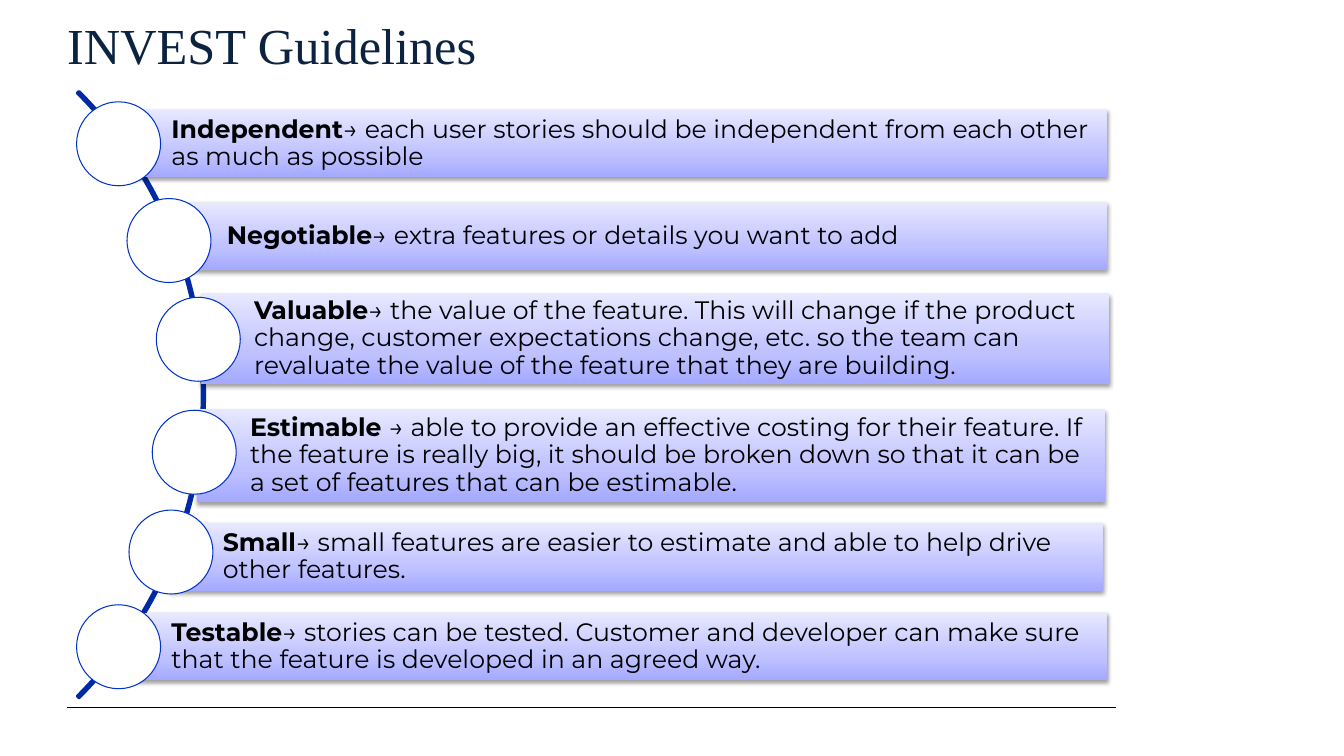
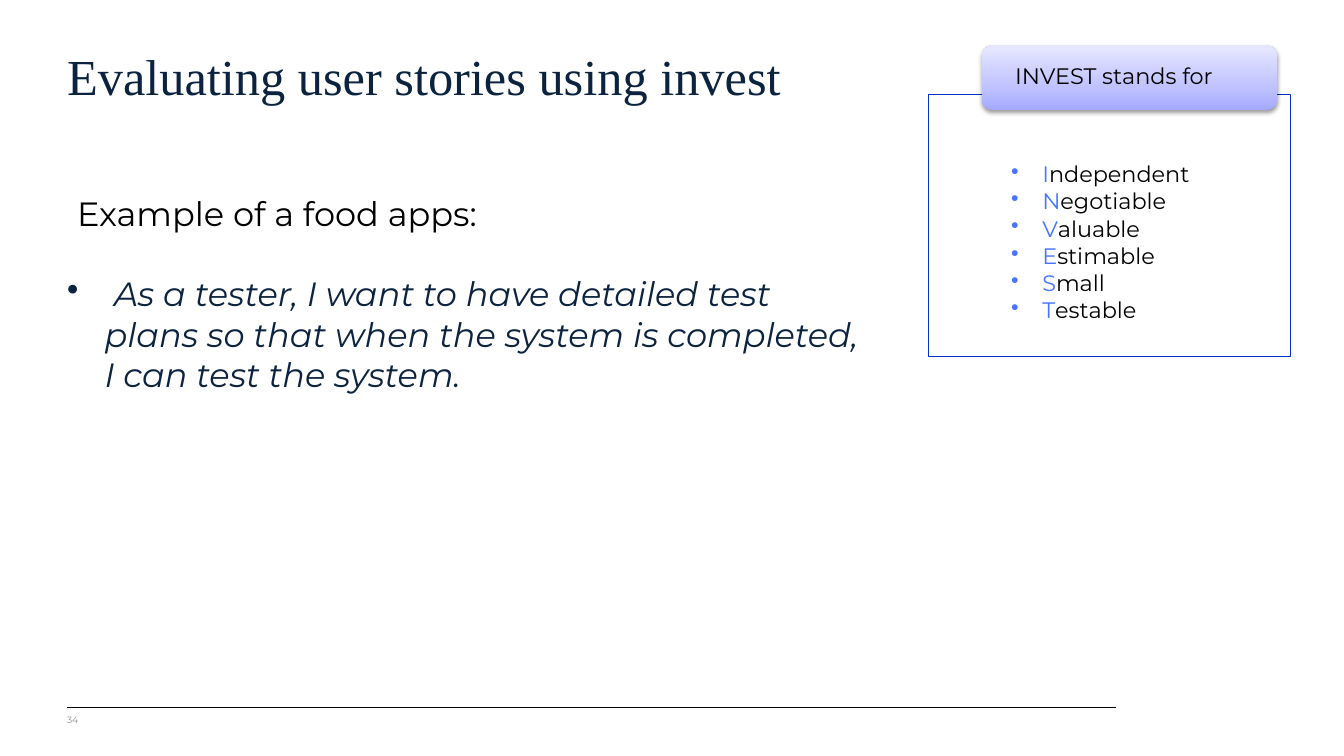
"""Build two slides on the INVEST guidelines; boxes are given in percent of the slide."""
from pptx import Presentation
from pptx import util as u
from pptx.dml.color import RGBColor
from pptx.enum import shapes, text
from pptx.oxml import parse_xml
from pptx.oxml.ns import nsdecls, qn

WIDE, TALL = 13.33, 7.5
HUES = {"navy": "0C2340", "ink": "000000", "gray": "8C8C8C", "white": "FFFFFF",
        "arc": "0029A3", "ring": "0033CC", "edge": "0032C8", "cap": "4775FF"}
FADE = {0: "A5A9FF", 35: "BFC2FF", 100: "E7E8FF"}
SANS = "Montserrat"
KINDS = shapes.MSO_SHAPE
MID = text.MSO_ANCHOR.MIDDLE
TITLE = {"name": "Times New Roman", "size": u.Pt(36), "color": "navy"}
LABEL = {"name": SANS, "size": u.Pt(18), "color": "ink"}
ITEM = {**LABEL, "size": u.Pt(16)}
LEAD = {**LABEL, "size": u.Pt(24)}
STORY = {**LEAD, "color": "navy", "italic": True}
PAGE = {"name": SANS, "size": u.Pt(6.5), "color": "gray"}
DISC = (6.25, 11.11)
ROWS = [
    ("Independent", "→ each user stories should be independent from each other as much as possible",
     (8.78, 14.53, 73.58, 8.93), (5.7, 13.47)),
    ("Negotiable", "→ extra features or details you want to add",
     (12.9, 26.8, 69.45, 8.93), (9.45, 26.27)),
    ("Valuable", "→ the value of the feature. This will change if the product change, "
     "customer expectations change, etc. so the team can revaluate the value of the "
     "feature that they are building.",
     (14.93, 38.8, 67.58, 12), (11.63, 39.33)),
    ("Estimable ", "→ able to provide an effective costing for their feature. If the "
     "feature is really big, it should be broken down so that it can be a set of "
     "features that can be estimable.",
     (14.63, 54.13, 67.58, 12.27), (11.33, 54.27)),
    ("Small", "→ small features are easier to estimate and able to help drive other features.",
     (12.6, 69.2, 69.45, 8.93), (9.6, 67.47)),
    ("Testable", "→ stories can be tested. Customer and developer can make sure that the "
     "feature is developed in an agreed way.",
     (8.78, 81.07, 73.58, 8.93), (5.7, 80)),
]


def area(*box):
    """Turn percent shares, x and y in turn, into lengths."""
    return [u.Inches(part * side / 100) for part, side in zip(box, (WIDE, TALL) * 2)]


def hue(name):
    """Look up a colour."""
    return RGBColor.from_string(HUES[name])


def style(run, form):
    """Apply a dict of format values to a run."""
    for key, value in form.items():
        if key == "color":
            run.font.color.rgb = hue(value)
        else:
            setattr(run.font, key, value)


def write(shape, paras, inset=(0, 0, 0.1, 0.05), anchor=text.MSO_ANCHOR.TOP,
          space=None, hang=0):
    """Fill a shape with paragraphs, each a list of (words, format) runs."""
    frame = shape.text_frame
    frame.word_wrap = True
    frame.vertical_anchor = anchor
    for side, gap in zip(("left", "top", "right", "bottom"), inset):
        setattr(frame, f"margin_{side}", u.Inches(gap))
    for num, runs in enumerate(paras):
        para = frame.add_paragraph() if num else frame.paragraphs[0]
        para.alignment = text.PP_ALIGN.LEFT
        for key, value in (space or {}).items():
            setattr(para, key, value)
        if hang:
            bullet(para, hang)
        for words, form in runs:
            run = para.add_run()
            run.text = words
            style(run, form)


def bullet(para, hang):
    """Give a paragraph a hanging bullet."""
    props = para._p.get_or_add_pPr()
    props.set("marL", str(u.Inches(hang)))
    props.set("indent", str(-u.Inches(hang)))
    props.append(parse_xml(f'<a:buChar {nsdecls("a")} char="•"/>'))


def label(slide, box, paras, **opts):
    """Add a text box."""
    write(slide.shapes.add_textbox(*area(*box)), paras, **opts)


def form(slide, kind, box, fill=None, line=None, width=0.75):
    """Add a flat preset shape."""
    shape = slide.shapes.add_shape(kind, *area(*box))
    shape.shadow.inherit = False
    if fill:
        shape.fill.solid()
        shape.fill.fore_color.rgb = hue(fill)
    else:
        shape.fill.background()
    if line:
        shape.line.color.rgb = hue(line)
        shape.line.width = u.Pt(width)
    else:
        shape.line.fill.background()
    return shape


def glow(slide, kind, box):
    """Add a shape with the lilac fade and a soft shadow."""
    shape = form(slide, kind, box)
    shape.fill.gradient()
    props = shape.element.spPr
    stops = "".join(f'<a:gs pos="{pos * 1000}"><a:srgbClr val="{tone}"/></a:gs>'
                    for pos, tone in FADE.items())
    props.replace(props.find(qn("a:gradFill")), parse_xml(
        f'<a:gradFill {nsdecls("a")} rotWithShape="1"><a:gsLst>{stops}</a:gsLst>'
        '<a:lin ang="16200000" scaled="0"/></a:gradFill>'))
    props.find(qn("a:effectLst")).append(parse_xml(
        f'<a:outerShdw {nsdecls("a")} blurRad="{u.Pt(3.1)}" dist="{u.Pt(1.6)}" '
        'dir="5400000" rotWithShape="0"><a:srgbClr val="000000">'
        '<a:alpha val="38000"/></a:srgbClr></a:outerShdw>'))
    return shape


def start(deck, title, top):
    """Add a slide with its title and foot line."""
    slide = deck.slides.add_slide(deck.slide_layouts[6])
    rule = slide.shapes.add_connector(shapes.MSO_CONNECTOR.STRAIGHT,
                                      *area(5, 93.6, 83, 93.6))
    rule.line.color.rgb = hue("ink")
    rule.line.width = u.Pt(0.75)
    rule.element.spPr.append(parse_xml(f'<a:effectLst {nsdecls("a")}/>'))
    label(slide, (5, top, 78.08, 12.4), [[(title, TITLE)]])
    return slide


def guide(deck):
    """Build the slide of six guidelines along an arc."""
    slide = start(deck, "INVEST Guidelines", 1.87)
    arc = form(slide, KINDS.BLOCK_ARC, (-48.6, -4.53, 63.83, 113.47), line="arc", width=2)
    for num, value in enumerate((189, 27, 0.003)):
        arc.adjustments[num] = value
    for word, rest, box, spot in ROWS:
        bar = glow(slide, KINDS.RECTANGLE, box)
        write(bar, [[(word, {**LABEL, "bold": True}), (rest, LABEL)]],
              inset=(0.53, 0.05, 0.05, 0.05), anchor=MID, space={"line_spacing": 0.9})
        form(slide, KINDS.OVAL, spot + DISC, "white", "ring")


def panel(slide):
    """Add the framed list of the six words with its tag."""
    frame = form(slide, KINDS.RECTANGLE, (69.08, 12.53, 26.93, 34.67), "white", "edge")
    tone = frame.element.spPr.find(qn("a:solidFill"))[0]
    tone.append(parse_xml(f'<a:alpha {nsdecls("a")} val="90000"/>'))
    words = [row[0].strip() for row in ROWS]
    write(frame, [[(word[0], {**ITEM, "color": "cap"}), (word[1:], ITEM)] for word in words],
          inset=(0.82, 0.68, 0.82, 0.23), hang=0.31,
          space={"line_spacing": 0.9, "space_after": u.Pt(2.2)})
    tag = glow(slide, KINDS.ROUNDED_RECTANGLE, (73.05, 6, 21.98, 8.53))
    write(tag, [[("INVEST stands for", ITEM)]], inset=(0.3, 0, 0.3, 0), anchor=MID,
          space={"line_spacing": 0.9})


def rate(deck):
    """Build the slide that weighs a user story."""
    slide = start(deck, "Evaluating user stories using invest", 6)
    label(slide, (5, 36.13, 59.93, 44.93),
          [[(" ", {**STORY, "bold": True, "italic": False}),
            ("As a tester, I want to have detailed test plans so that when the system "
             "is completed, I can test the system.", STORY)]],
          hang=0.37, space={"space_before": u.Pt(4.8)})
    label(slide, (5, 94.13, 3.98, 2.8), [[("34", PAGE)]], anchor=MID)
    panel(slide)
    label(slide, (5, 24.8, 62.03, 6.67), [[("Example of a food apps:", LEAD)]],
          inset=(0.1, 0.05, 0.1, 0.05))


def main():
    """Build and save the deck."""
    deck = Presentation()
    deck.slide_width, deck.slide_height = u.Inches(WIDE), u.Inches(TALL)
    guide(deck)
    rate(deck)
    deck.save("out.pptx")


if __name__ == "__main__":
    main()
